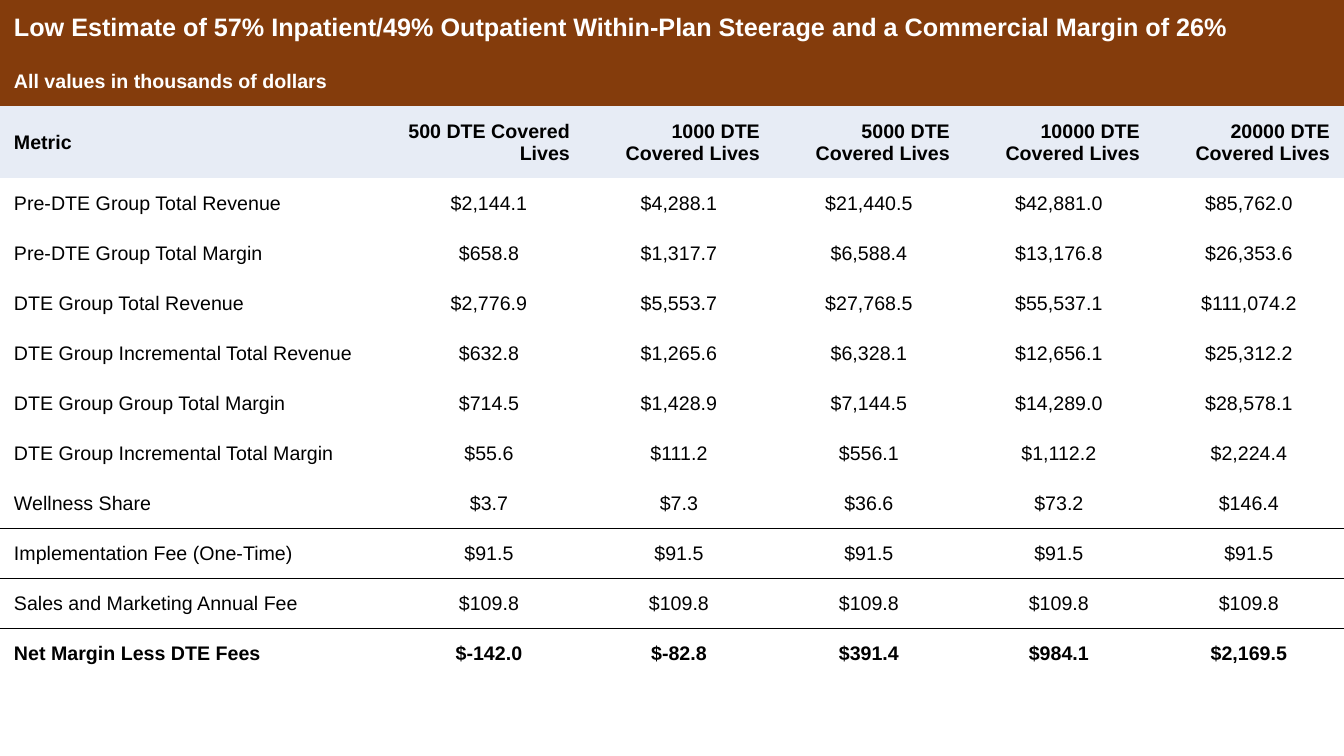
from pptx import Presentation
from pptx.dml.color import RGBColor
from pptx.enum.text import MSO_ANCHOR, PP_ALIGN
from pptx.oxml import parse_xml
from pptx.oxml.ns import nsdecls, qn
from pptx.util import Pt

LEFT, CENTER, RIGHT = PP_ALIGN.LEFT, PP_ALIGN.CENTER, PP_ALIGN.RIGHT
MIDDLE = MSO_ANCHOR.MIDDLE

BROWN = RGBColor(0x84, 0x3C, 0x0C)
PALE = RGBColor(0xE7, 0xEC, 0xF5)
WHITE = RGBColor(0xFF, 0xFF, 0xFF)
BLACK = RGBColor(0x00, 0x00, 0x00)

FONT = "Arial"
NO_GRID = "{2D5ABB26-0587-4C30-8999-92F81FD0307C}"
WIDTH, HEIGHT = 1344, 756
PAD = 14
FIRST_COL, VALUE_COL = 394, 190
TITLE_ROW, HEAD_ROW, BODY_ROW = 56, 72, 50

TITLE = ("Low Estimate of 57% Inpatient/49% Outpatient Within-Plan "
         "Steerage and a Commercial Margin of 26%")
UNITS = "All values in thousands of dollars"
LIVES = [500, 1000, 5000, 10000, 20000]
METRICS = [
    ("Pre-DTE Group Total Revenue", [2144.1, 4288.1, 21440.5, 42881.0, 85762.0]),
    ("Pre-DTE Group Total Margin", [658.8, 1317.7, 6588.4, 13176.8, 26353.6]),
    ("DTE Group Total Revenue", [2776.9, 5553.7, 27768.5, 55537.1, 111074.2]),
    ("DTE Group Incremental Total Revenue", [632.8, 1265.6, 6328.1, 12656.1, 25312.2]),
    ("DTE Group Group Total Margin", [714.5, 1428.9, 7144.5, 14289.0, 28578.1]),
    ("DTE Group Incremental Total Margin", [55.6, 111.2, 556.1, 1112.2, 2224.4]),
    ("Wellness Share", [3.7, 7.3, 36.6, 73.2, 146.4]),
    ("Implementation Fee (One-Time)", [91.5] * 5),
    ("Sales and Marketing Annual Fee", [109.8] * 5),
    ("Net Margin Less DTE Fees", [-142.0, -82.8, 391.4, 984.1, 2169.5]),
]
RULED = ("Wellness Share", "Sales and Marketing Annual Fee")


def px(n):
    return round(n * 914400 / 100.8)


def add_grid(slide, heights, widths):
    frame = slide.shapes.add_table(len(heights), len(widths), 0, 0,
                                   px(sum(widths)), px(sum(heights)))
    table = frame.table
    table.horz_banding = False
    table._tbl.tblPr.find(qn("a:tableStyleId")).text = NO_GRID
    for row, height in zip(table.rows, heights):
        row.height = px(height)
    for col, width in zip(table.columns, widths):
        col.width = px(width)
    return table


def set_cell(cell, text, align=LEFT, fill=None, color=BLACK, size=14, bold=False):
    cell.margin_left = cell.margin_right = px(PAD)
    cell.margin_top = cell.margin_bottom = px(PAD)
    cell.vertical_anchor = MIDDLE
    if fill is None:
        cell.fill.background()
    else:
        cell.fill.solid()
        cell.fill.fore_color.rgb = fill
    cell.text = text
    para = cell.text_frame.paragraphs[0]
    para.alignment = align
    font = para.font
    font.name, font.size, font.bold = FONT, Pt(size), bold
    font.color.rgb = color


def set_rule(cell, side):
    line = parse_xml(
        f'<a:{side} {nsdecls("a")} w="{Pt(1)}"><a:solidFill>'
        f'<a:srgbClr val="{BLACK}"/></a:solidFill></a:{side}>')
    cell._tc.get_or_add_tcPr().insert(0, line)


def fill_banner(table, row, text, size):
    first = table.cell(row, 0)
    first.merge(table.cell(row, len(LIVES)))
    set_cell(first, text, fill=BROWN, color=WHITE, size=size, bold=True)


def fill_row(table, row, label, values, align, fill=None, bold=False):
    set_cell(table.cell(row, 0), label, fill=fill, bold=bold)
    for col, value in enumerate(values, 1):
        set_cell(table.cell(row, col), value, align, fill, bold=bold)


def main():
    deck = Presentation()
    deck.slide_width, deck.slide_height = px(WIDTH), px(HEIGHT)
    slide = deck.slides.add_slide(deck.slide_layouts[6])

    heights = [TITLE_ROW, BODY_ROW, HEAD_ROW] + [BODY_ROW] * len(METRICS)
    widths = [FIRST_COL] + [VALUE_COL] * len(LIVES)
    table = add_grid(slide, heights, widths)

    # Banner and column heads
    fill_banner(table, 0, TITLE, 18)
    fill_banner(table, 1, UNITS, 14)
    heads = [f"{count} DTE Covered Lives" for count in LIVES]
    fill_row(table, 2, "Metric", heads, RIGHT, PALE, True)

    # Metrics, with the net margin in bold
    for row, (label, values) in enumerate(METRICS, 3):
        money = [f"${value:,.1f}" for value in values]
        fill_row(table, row, label, money, CENTER, bold=label.startswith("Net"))

    # Rules around the fees
    for row, (label, _) in enumerate(METRICS, 3):
        if label in RULED:
            for col in range(len(widths)):
                set_rule(table.cell(row, col), "lnB")
                set_rule(table.cell(row + 1, col), "lnT")

    deck.save("out.pptx")


if __name__ == "__main__":
    main()
